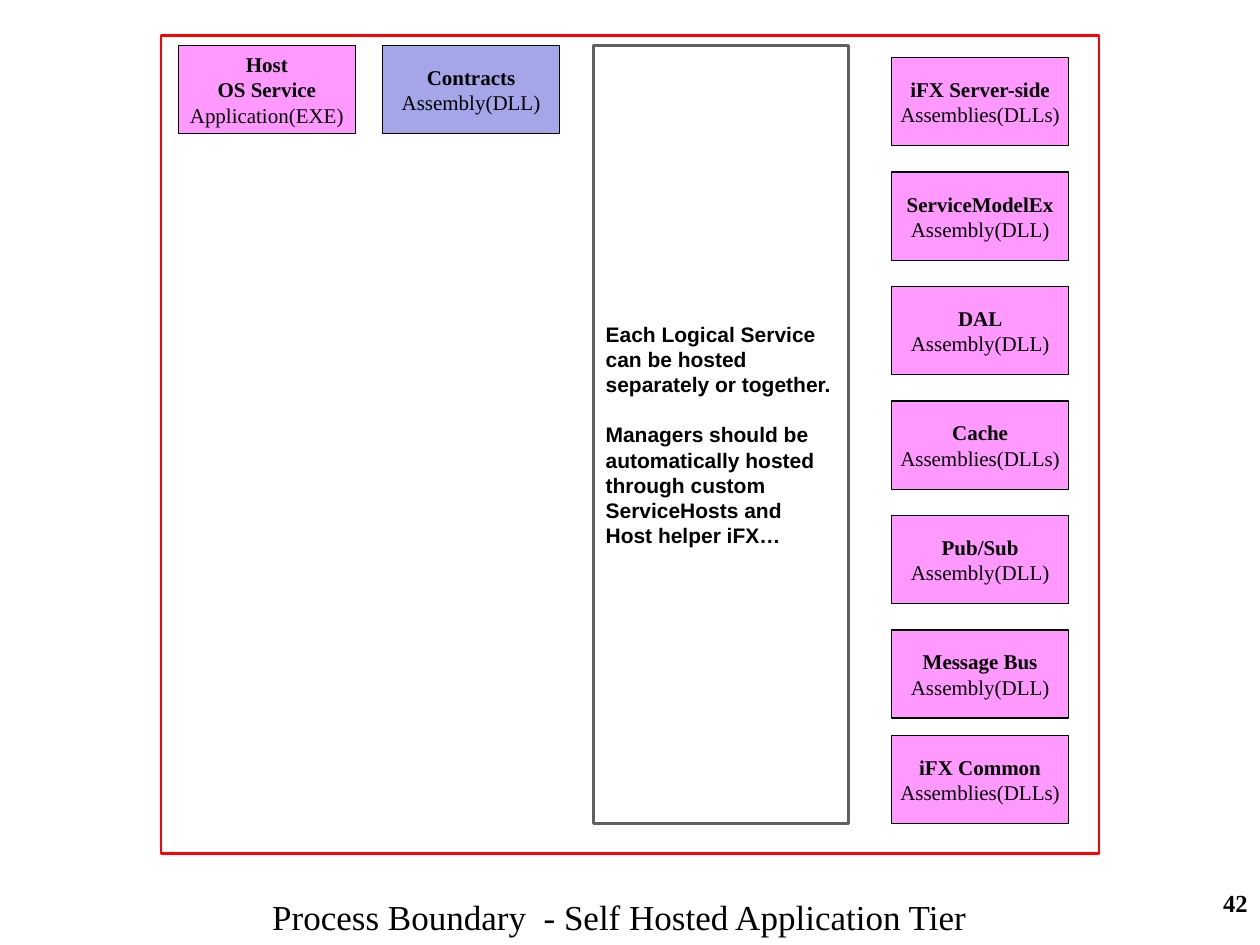
from pptx import Presentation
from pptx.dml.color import RGBColor
from pptx.enum.shapes import MSO_SHAPE
from pptx.enum.text import MSO_ANCHOR, PP_ALIGN
from pptx.util import Pt

RECTANGLE = MSO_SHAPE.RECTANGLE
TOP, MIDDLE = MSO_ANCHOR.TOP, MSO_ANCHOR.MIDDLE
LEFT, CENTER, RIGHT = PP_ALIGN.LEFT, PP_ALIGN.CENTER, PP_ALIGN.RIGHT
SERIF, SANS = "Times New Roman", "Arial"
COLORS = {"pink": "FF99FF", "blue": "A5A5E9", "red": "FF0000",
          "gray": "606060", "black": "000000"}

# Content
TITLE = "Process Boundary  - Self Hosted Application Tier"
PAGE_NUMBER = "42"
NOTES = [
    ["Each Logical Service", "can be hosted", "separately or together."],
    ["Managers should be", "automatically hosted", "through custom",
     "ServiceHosts and", "Host helper iFX…"],
]
HOST = (["Host", "OS Service"], "Application(EXE)")
CONTRACTS = (["Contracts"], "Assembly(DLL)")
LIBRARIES = [
    (["iFX Server-side"], "Assemblies(DLLs)"),
    (["ServiceModelEx"], "Assembly(DLL)"),
    (["DAL"], "Assembly(DLL)"),
    (["Cache"], "Assemblies(DLLs)"),
    (["Pub/Sub"], "Assembly(DLL)"),
    (["Message Bus"], "Assembly(DLL)"),
]
COMMON = (["iFX Common"], "Assemblies(DLLs)")

# Layout, in points
BOX_WIDTH, BOX_HEIGHT = 101, 50.4
TOP_ROW = 26
LIBRARY_LEFT, LIBRARY_TOP, LIBRARY_PITCH = 509.6, 33, 65.4
COMMON_TOP = 420.4


def color(name):
    return RGBColor.from_string(COLORS[name])


def add_rectangle(page, left, top, width, height, line, weight, fill=None):
    box = page.shapes.add_shape(RECTANGLE, Pt(left), Pt(top), Pt(width), Pt(height))
    box.shadow.inherit = False
    if fill:
        box.fill.solid()
        box.fill.fore_color.rgb = color(fill)
    else:
        box.fill.background()
    box.line.color.rgb = color(line)
    box.line.width = Pt(weight)
    return box


def write(frame, lines, size, font, align, anchor=MIDDLE, wrap=False):
    """Write (text, bold, space before) lines, one paragraph each."""
    frame.word_wrap = wrap
    frame.vertical_anchor = anchor
    for index, (text, bold, gap) in enumerate(lines):
        para = frame.add_paragraph() if index else frame.paragraphs[0]
        para.text = text
        para.alignment = align
        para.space_before = Pt(gap)
        para.font.size = Pt(size)
        para.font.name = font
        para.font.bold = bold
        para.font.color.rgb = color("black")


def add_component(page, left, top, component, fill="pink"):
    names, kind = component
    box = add_rectangle(page, left, top, BOX_WIDTH, BOX_HEIGHT, "black", 0.75, fill)
    lines = [(name, True, 0) for name in names] + [(kind, False, 0)]
    write(box.text_frame, lines, 12, SERIF, CENTER)


deck = Presentation()
deck.slide_width, deck.slide_height = Pt(720), Pt(540)
page = deck.slides.add_slide(deck.slide_layouts[5])

# Title and page number
title = page.shapes.title
title.left, title.top, title.width, title.height = Pt(148.3), Pt(508.3), Pt(424), Pt(31.7)
write(title.text_frame, [(TITLE, False, 0)], 20, SERIF, LEFT, TOP, True)
number = page.shapes.add_textbox(Pt(570), Pt(504), Pt(150), Pt(36))
write(number.text_frame, [(PAGE_NUMBER, True, 0)], 14, SERIF, RIGHT, TOP, True)

# Process boundary and hosting notes
add_rectangle(page, 92, 20.4, 536, 467.3, "red", 1.5)
notes = add_rectangle(page, 339, TOP_ROW, 146, 444.5, "gray", 1.5)
note_lines = [(text, True, 14.4 if block and not row else 0)
              for block, texts in enumerate(NOTES)
              for row, text in enumerate(texts)]
write(notes.text_frame, note_lines, 12, SANS, LEFT)

# Components
add_component(page, 102, TOP_ROW, HOST)
add_component(page, 218.7, TOP_ROW, CONTRACTS, "blue")
for row, library in enumerate(LIBRARIES):
    add_component(page, LIBRARY_LEFT, LIBRARY_TOP + row * LIBRARY_PITCH, library)
add_component(page, LIBRARY_LEFT, COMMON_TOP, COMMON)

deck.save("out.pptx")
